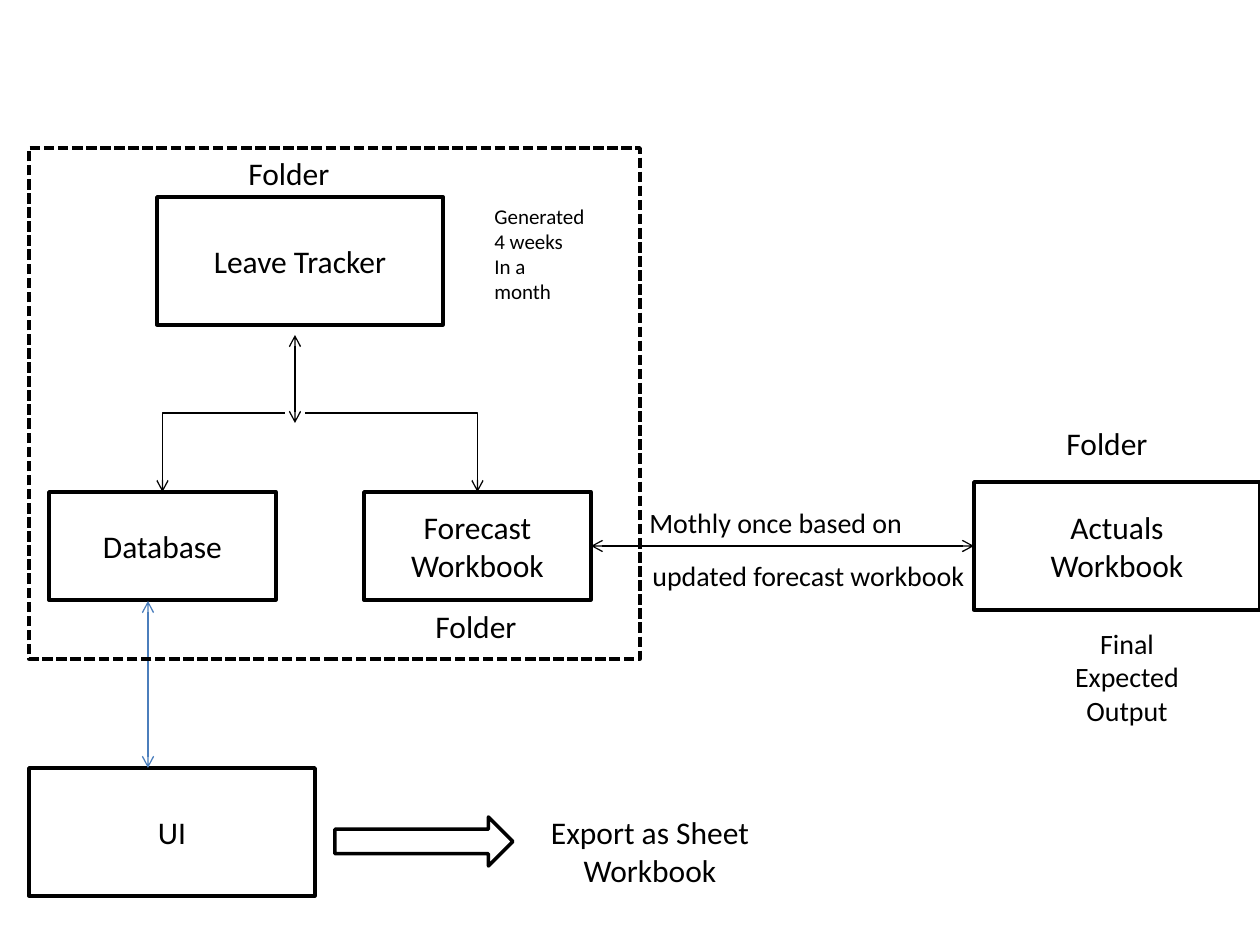
from dataclasses import dataclass

import pptx
import pptx.dml.color
import pptx.enum.dml
import pptx.enum.shapes
import pptx.enum.text
import pptx.oxml
import pptx.oxml.ns
import pptx.util

SHAPE = pptx.enum.shapes.MSO_SHAPE
CONNECTOR = pptx.enum.shapes.MSO_CONNECTOR
ALIGN = pptx.enum.text.PP_ALIGN
ANCHOR = pptx.enum.text.MSO_ANCHOR
TOP, LEFT, BOTTOM, RIGHT = range(4)


@dataclass(frozen=True)
class Theme:
    font: str = "Calibri"
    ink: str = "000000"
    paper: str = "FFFFFF"
    accent: str = "4B7EBC"
    label: int = 18
    caption: int = 16
    note: int = 12
    outline: float = 2
    hairline: float = 0.75


def px(length):
    return round(length * 914400 / 126)


def color(code):
    return pptx.dml.color.RGBColor.from_string(code)


class Diagram:
    def __init__(self, page, theme):
        self.page = page
        self.theme = theme

    def set_text(self, shape, text, size, align):
        frame = shape.text_frame
        frame.word_wrap = True
        frame.text = text
        for para in frame.paragraphs:
            para.alignment = align
            for span in para.runs:
                span.font.name = self.theme.font
                span.font.size = pptx.util.Pt(size)
                span.font.color.rgb = color(self.theme.ink)

    def outline(self, kind, left, top, width, height, dash=None):
        shape = self.page.shapes.add_shape(kind, *map(px, (left, top, width, height)))
        shape.shadow.inherit = False
        shape.fill.background()
        shape.line.color.rgb = color(self.theme.ink)
        shape.line.width = pptx.util.Pt(self.theme.outline)
        if dash is not None:
            shape.line.dash_style = dash
        return shape

    def box(self, text, left, top, width, height):
        box = self.outline(SHAPE.RECTANGLE, left, top, width, height)
        box.fill.solid()
        box.fill.fore_color.rgb = color(self.theme.paper)
        box.text_frame.vertical_anchor = ANCHOR.MIDDLE
        self.set_text(box, text, self.theme.label, ALIGN.CENTER)
        return box

    def text(self, text, left, top, width, height, size, align=ALIGN.LEFT):
        label = self.page.shapes.add_textbox(*map(px, (left, top, width, height)))
        self.set_text(label, text, size, align)

    def arrow(self, start, end, double=True, bent=False, line_color=None):
        """Each end is an (x, y) point or a (shape, side) pair."""
        kind = CONNECTOR.ELBOW if bent else CONNECTOR.STRAIGHT
        points = [(0, 0) if hasattr(spot[0], "shape_id") else spot
                  for spot in (start, end)]
        link = self.page.shapes.add_connector(
            kind, *(px(value) for point in points for value in point))
        for spot, join in ((start, link.begin_connect), (end, link.end_connect)):
            if hasattr(spot[0], "shape_id"):
                join(*spot)
        link.line.color.rgb = color(line_color or self.theme.ink)
        link.line.width = pptx.util.Pt(self.theme.hairline)
        properties = link._element.spPr
        if bent:  # one corner only
            geometry = properties.find(pptx.oxml.ns.qn("a:prstGeom"))
            geometry.set("prst", "bentConnector2")
        line = properties.find(pptx.oxml.ns.qn("a:ln"))
        for name in ("headEnd", "tailEnd") if double else ("tailEnd",):
            tip = pptx.oxml.parse_xml(
                f'<a:{name} {pptx.oxml.ns.nsdecls("a")} type="arrow"/>')
            line.append(tip)
        properties.append(pptx.oxml.parse_xml(
            f'<a:effectLst {pptx.oxml.ns.nsdecls("a")}/>'))


def main():
    deck = pptx.Presentation()
    deck.slide_width, deck.slide_height = px(1260), px(945)
    theme = Theme()
    diagram = Diagram(deck.slides.add_slide(deck.slide_layouts[6]), theme)

    # Main boxes
    large, small = (286, 128), (227, 108)
    diagram.box("Leave Tracker", 157, 197, *large)
    forecast = diagram.box("Forecast\nWorkbook", 364, 492, *small)
    database = diagram.box("Database", 49, 492, *small)
    actuals = diagram.box("Actuals\nWorkbook", 974, 482, *large)
    diagram.box("UI", 29, 768, *large)

    # Links between the boxes
    diagram.arrow((295, 335), (295, 423))
    diagram.arrow((285, 413), (database, TOP), double=False, bent=True)
    diagram.arrow((305, 413), (forecast, TOP), double=False, bent=True)
    diagram.arrow((forecast, RIGHT), (actuals, LEFT))
    diagram.arrow((148, 601), (148, 768), line_color=theme.accent)

    # Dashed group frame and export arrow
    diagram.outline(SHAPE.RECTANGLE, 29, 148, 611, 511,
                    dash=pptx.enum.dml.MSO_LINE.SQUARE_DOT)
    diagram.outline(SHAPE.RIGHT_ARROW, 335, 817, 178, 49)

    # Folder labels
    for left, top in ((236, 148), (423, 601), (1054, 418)):
        diagram.text("Folder", left, top, 130, 50, theme.label)

    # Notes and captions
    diagram.text("Generated\n4 weeks\nIn a\nmonth", 482, 197, 128, 115, theme.note)
    diagram.text("Mothly once based on", 637, 499, 330, 46, theme.caption)
    diagram.text("updated forecast workbook", 640, 552, 424, 46, theme.caption)
    diagram.text("Final\nExpected\nOutput", 1024, 620, 206, 115,
                 theme.caption, ALIGN.CENTER)
    diagram.text("Export as Sheet Workbook", 522, 807, 256, 89,
                 theme.label, ALIGN.CENTER)

    deck.save("out.pptx")


if __name__ == "__main__":
    main()
